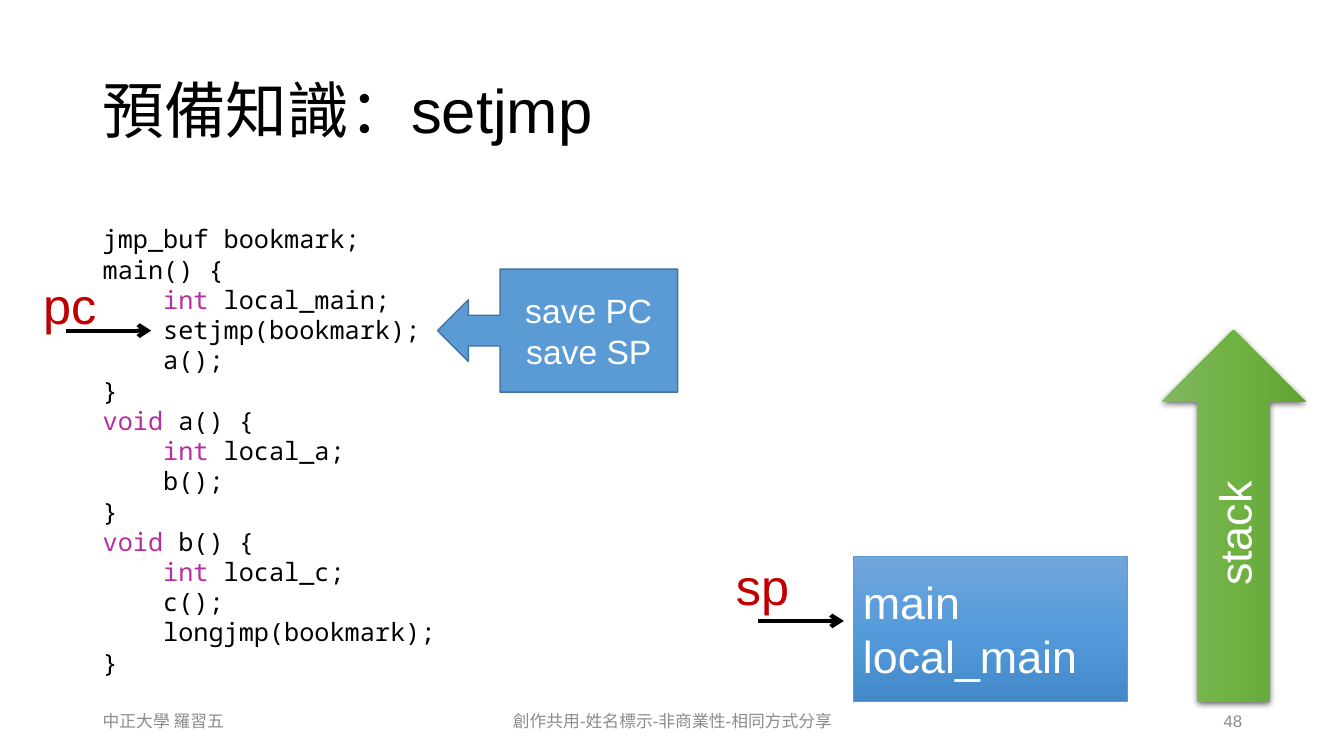
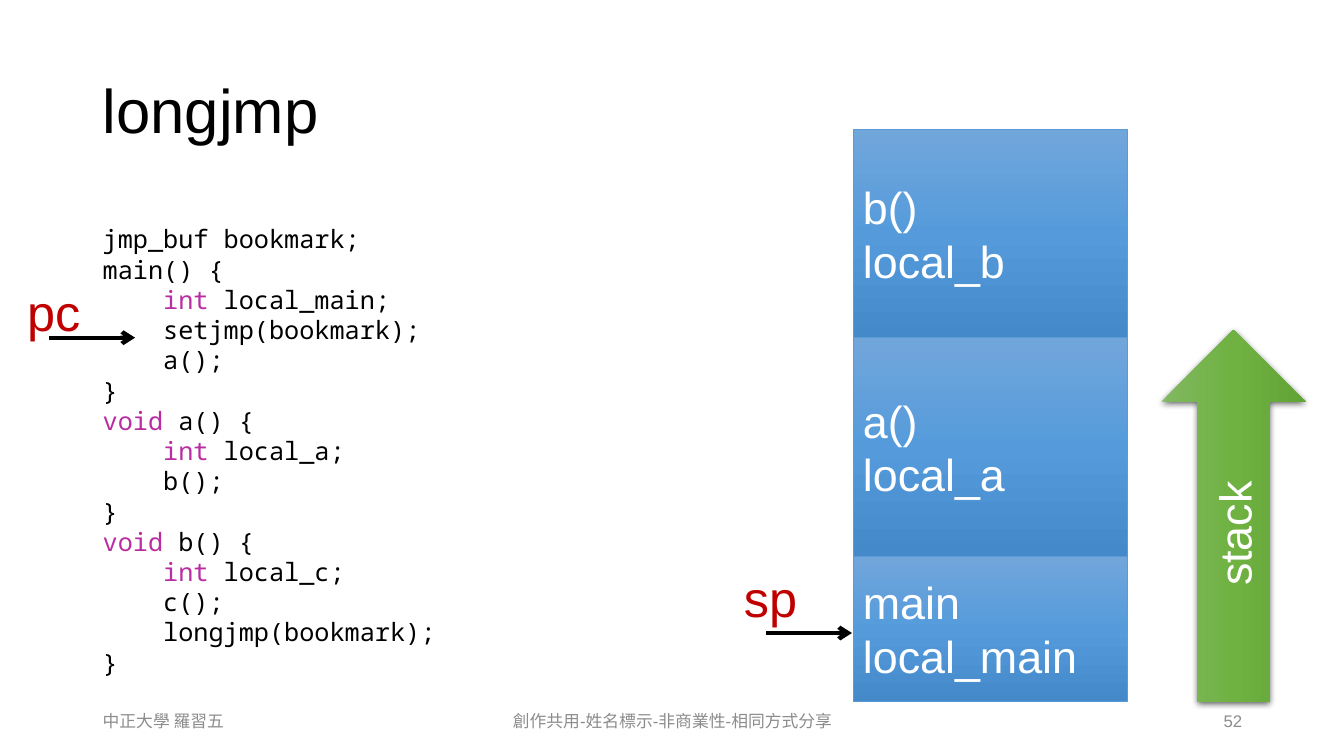
from copy import deepcopy

from lxml import etree
from pptx import Presentation
from pptx.dml.color import RGBColor
from pptx.enum import shapes, text
from pptx.oxml.ns import qn
from pptx.util import Inches, Pt

BLACK = RGBColor(0x00, 0x00, 0x00)
WHITE = RGBColor(0xFF, 0xFF, 0xFF)
RED = RGBColor(0xC0, 0x00, 0x00)
GREY = RGBColor(0x8C, 0x8C, 0x8C)
PURPLE = RGBColor(0xBA, 0x2D, 0xA2)
BLUE = RGBColor(0x5B, 0x9B, 0xD5)
DARK_BLUE = RGBColor(0x43, 0x73, 0x9E)
FRAME_BLUES = [RGBColor.from_string(c) for c in ("71A6DB", "559BDB", "448ACA")]
STACK_GREENS = [RGBColor.from_string(c) for c in ("81B861", "6FB242", "62A336")]

TITLE = {"name": "Arial", "size": Pt(44), "color": BLACK}
CODE = {"name": "Noto Sans Mono", "size": Pt(18), "color": BLACK}
KEYWORD = {**CODE, "color": PURPLE}
FRAME = {"name": "Arial", "size": Pt(32), "color": WHITE}
CALLOUT = {**FRAME, "size": Pt(24)}
POINTER = {"name": "Arial", "size": Pt(36), "color": RED}
FOOTER = {"name": "Arial", "size": Pt(12), "color": GREY}

LEFT, CENTER, RIGHT = (text.PP_ALIGN.LEFT, text.PP_ALIGN.CENTER,
                       text.PP_ALIGN.RIGHT)
MIDDLE, TOP = text.MSO_ANCHOR.MIDDLE, text.MSO_ANCHOR.TOP

MARGIN = 0.92
STACK_BOTTOM = 6.96
POINTER_LENGTH = 0.85
KEYWORDS = ("int", "void")
CODE_INDENT = Inches(0.6)
# Each line: indent level, statement
PROGRAM = [
    (0, "jmp_buf bookmark;"),
    (0, "main() {"),
    (1, "int local_main;"),
    (1, "setjmp(bookmark);"),
    (1, "a();"),
    (0, "}"),
    (0, "void a() {"),
    (1, "int local_a;"),
    (1, "b();"),
    (0, "}"),
    (0, "void b() {"),
    (1, "int local_c;"),
    (1, "c();"),
    (1, "longjmp(bookmark);"),
    (0, "}"),
]
MAIN_FRAME = (["main", "local_main"], 1.44)
A_FRAME = (["a()", "local_a"], 2.17)
B_FRAME = (["b()", "local_b"], 2.07)


def inches(*lengths):
    return [Inches(length) for length in lengths]


def add_run(paragraph, words, style):
    run = paragraph.add_run()
    run.text = words
    for attribute, value in style.items():
        if attribute == "color":
            run.font.color.rgb = value
        else:
            setattr(run.font, attribute, value)


def write_lines(shape, lines, style, align=LEFT, anchor=MIDDLE, wrap=True):
    frame = shape.text_frame
    frame.word_wrap = wrap
    frame.vertical_anchor = anchor
    for number, line in enumerate(lines):
        paragraph = frame.add_paragraph() if number else frame.paragraphs[0]
        paragraph.alignment = align
        add_run(paragraph, line, style)


def add_label(slide, box, words, style, **layout):
    label = slide.shapes.add_textbox(*inches(*box))
    write_lines(label, [words], style, **layout)
    return label


def add_block(slide, preset, box):
    block = slide.shapes.add_shape(preset, *inches(*box))
    block.shadow.inherit = False
    return block


def fill_gradient(shape, colors):
    """Spread the colours evenly from the top of the shape to its bottom."""
    shape.fill.gradient()
    shape.fill.gradient_angle = 270
    stop_list = shape._element.spPr.find(".//" + qn("a:gsLst"))
    while len(stop_list) < len(colors):
        stop_list.append(deepcopy(stop_list[0]))
    for number, stop in enumerate(shape.fill.gradient_stops):
        stop.color.rgb = colors[number]
        stop.position = number / (len(colors) - 1)


def add_soft_shadow(shape):
    effects = shape._element.spPr.find(qn("a:effectLst"))
    shadow = etree.SubElement(effects, qn("a:outerShdw"), blurRad=str(Pt(4.5)),
                              dist=str(Pt(1.5)), dir="5400000",
                              algn="ctr", rotWithShape="0")
    color = etree.SubElement(shadow, qn("a:srgbClr"), val=str(BLACK))
    etree.SubElement(color, qn("a:alpha"), val="63000")


def add_title(slide, words):
    title = add_label(slide, (MARGIN, 0.4, 7.03, 1.45), words, TITLE)
    title.text_frame.paragraphs[0].line_spacing = 0.9


def add_footer(slide, page):
    for left, width, words, align in [
        (MARGIN, 3, "中正大學 羅習五", LEFT),
        (4.42, 4.5, "創作共用-姓名標示-非商業性-相同方式分享", CENTER),
        (9.42, 3, str(page), RIGHT),
    ]:
        add_label(slide, (left, 6.95, width, 0.4), words, FOOTER, align=align)


def add_program(slide):
    listing = slide.shapes.add_textbox(*inches(MARGIN, 2.17, 6.67, 4.64))
    frame = listing.text_frame
    frame.word_wrap = True
    for number, (level, statement) in enumerate(PROGRAM):
        paragraph = frame.add_paragraph() if number else frame.paragraphs[0]
        paragraph.line_spacing = Pt(21.6)
        properties = paragraph._p.get_or_add_pPr()
        properties.set("marL", str(level * CODE_INDENT))
        properties.set("indent", "0")
        first, space, rest = statement.partition(" ")
        if first in KEYWORDS:
            add_run(paragraph, first, KEYWORD)
            add_run(paragraph, space + rest, CODE)
        else:
            add_run(paragraph, statement, CODE)


def add_frames(slide, frames):
    """Pile the call frames upwards from the bottom of the stack."""
    top = STACK_BOTTOM
    for lines, height in frames:
        top -= height
        block = add_block(slide, shapes.MSO_SHAPE.RECTANGLE,
                          (8.46, top, 2.72, height))
        fill_gradient(block, FRAME_BLUES)
        block.line.color.rgb = BLUE
        block.line.width = Pt(0.5)
        write_lines(block, lines, FRAME)


def add_stack_arrow(slide):
    arrow = add_block(slide, shapes.MSO_SHAPE.RIGHT_ARROW,
                      (10.39, 4.4, 3.69, 1.43))
    arrow.rotation = 270
    fill_gradient(arrow, STACK_GREENS)
    arrow.line.fill.background()
    add_soft_shadow(arrow)
    write_lines(arrow, ["stack"], FRAME, align=CENTER)


def add_save_callout(slide):
    callout = add_block(slide, shapes.MSO_SHAPE.LEFT_ARROW_CALLOUT,
                        (4.34, 2.67, 2.38, 1.22))
    callout.adjustments[3] = 0.74
    callout.fill.solid()
    callout.fill.fore_color.rgb = BLUE
    callout.line.color.rgb = DARK_BLUE
    callout.line.width = Pt(1)
    write_lines(callout, ["save PC", "save SP"], CALLOUT, align=CENTER)


def add_pointer(slide, register, left, top, rise):
    """Draw a register's arrow, with its name starting `rise` above it."""
    arrow = slide.shapes.add_connector(
        shapes.MSO_CONNECTOR.STRAIGHT,
        *inches(left, top, left + POINTER_LENGTH, top))
    arrow.line.color.rgb = BLACK
    arrow.line.width = Pt(3)
    etree.SubElement(arrow.line._get_or_add_ln(), qn("a:tailEnd"), type="arrow")
    etree.SubElement(arrow._element.spPr, qn("a:effectLst"))
    add_label(slide, (left - 0.32, top - rise, 0.73, 0.71), register, POINTER,
              anchor=TOP, wrap=False)


def add_jump_slide(deck, title, page, frames, pc, sp):
    slide = deck.slides.add_slide(deck.slide_layouts[6])
    add_title(slide, title)
    add_frames(slide, frames)
    add_program(slide)
    add_stack_arrow(slide)
    add_pointer(slide, "pc", *pc, rise=0.61)
    add_pointer(slide, "sp", *sp, rise=0.7)
    add_footer(slide, page)
    return slide


def main():
    deck = Presentation()
    deck.slide_width, deck.slide_height = inches(13.33, 7.5)
    setjmp = add_jump_slide(deck, "預備知識：setjmp", 48, [MAIN_FRAME],
                            pc=(0.65, 3.28), sp=(7.52, 6.16))
    add_save_callout(setjmp)
    add_jump_slide(deck, "longjmp", 52, [MAIN_FRAME, A_FRAME, B_FRAME],
                   pc=(0.49, 3.35), sp=(7.6, 6.28))
    deck.save("out.pptx")


if __name__ == "__main__":
    main()
